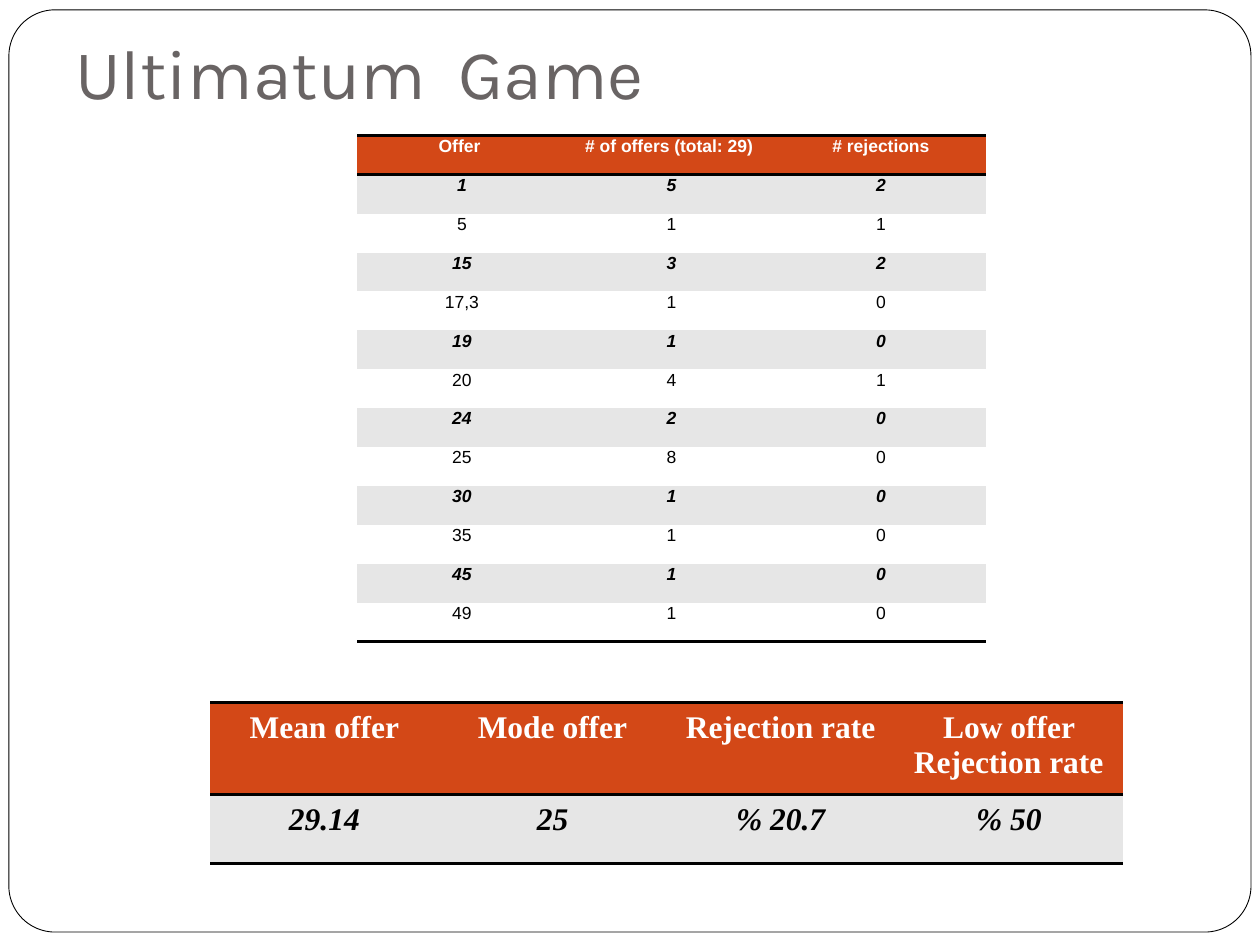
from lxml import etree
from pptx import Presentation
from pptx.dml.color import RGBColor
from pptx.enum.shapes import MSO_SHAPE
from pptx.enum.text import MSO_ANCHOR, PP_ALIGN
from pptx.oxml.ns import qn
from pptx.util import Cm, Pt

ROUND = MSO_SHAPE.ROUNDED_RECTANGLE
BOTTOM, TOP = MSO_ANCHOR.BOTTOM, MSO_ANCHOR.TOP
CENTER = PP_ALIGN.CENTER

COLORS = {
    "white": "FFFFFF",
    "black": "000000",
    "title": "696464",
    "head": "D34817",
    "band": "E6E6E6",
}

OFFERS = [
    ("Offer ", "# of offers (total: 29) ", "# rejections"),
    ("1", "5", "2"),
    ("5", "1", "1"),
    ("15", "3", "2"),
    ("17,3", "1", "0"),
    ("19", "1", "0"),
    ("20", "4", "1"),
    ("24", "2", "0"),
    ("25", "8", "0"),
    ("30", "1", "0"),
    ("35", "1", "0"),
    ("45", "1", "0"),
    ("49", "1", "0"),
]
RATES = [
    ("Mean offer", "Mode offer", "Rejection rate", "Low offer Rejection rate"),
    ("29.14", "25", "% 20.7", "% 50"),
]


def color(name):
    return RGBColor.from_string(COLORS[name])


def add_run(par, text, font, size, tint, bold=False, italic=False):
    run = par.add_run()
    run.text = text
    run.font.name = font
    run.font.size = Pt(size)
    run.font.color.rgb = color(tint)
    run.font.bold = bold
    run.font.italic = italic


def add_frame(slide):
    frame = slide.shapes.add_shape(ROUND, Cm(0.18), Cm(0.2), Cm(25.04), Cm(18.59))
    frame.adjustments[0] = 0.05
    frame.shadow.inherit = False
    frame.fill.solid()
    frame.fill.fore_color.rgb = color("white")
    frame.line.color.rgb = color("black")
    frame.line.width = Pt(0.5)


def add_title(slide, text):
    box = slide.shapes.add_textbox(Cm(1.27), Cm(0), Cm(22.86), Cm(2.54))
    frame = box.text_frame
    frame.word_wrap = True
    frame.vertical_anchor = BOTTOM
    frame.margin_bottom = Cm(0.25)
    add_run(frame.paragraphs[0], text, "Karla", 40, "title")


def set_lines(cell, ruled):
    """Rule the named sides in black and clear the others."""
    props = cell._tc.get_or_add_tcPr()
    for i, side in enumerate("LRTB"):
        line = etree.Element(qn("a:ln" + side))
        if side in ruled:
            line.set("w", str(Pt(2)))
            fill = etree.SubElement(line, qn("a:solidFill"))
            etree.SubElement(fill, qn("a:srgbClr"), val=COLORS["black"])
        else:
            etree.SubElement(line, qn("a:noFill"))
        props.insert(i, line)


def fill_cell(cell, text, row, last, font, size, pad):
    head, band = row == 0, row % 2 == 1
    cell.margin_left = cell.margin_right = Cm(pad)
    cell.margin_top = cell.margin_bottom = Cm(pad)
    cell.vertical_anchor = TOP
    cell.fill.solid()
    cell.fill.fore_color.rgb = color("head" if head else "band" if band else "white")
    # Rules above and below the head row, and below the last row
    set_lines(cell, ("T" if row < 2 else "") + ("B" if row in (0, last) else ""))
    par = cell.text_frame.paragraphs[0]
    par.alignment = CENTER
    add_run(par, text, font, size, "white" if head else "black", head or band, band)


def add_grid(slide, data, left, top, width, heights, font, size, pad):
    rows, cols = len(data), len(data[0])
    table = slide.shapes.add_table(
        rows, cols, Cm(left), Cm(top), Cm(width), Cm(sum(heights))
    ).table
    table.first_row = True
    table.horz_banding = False
    for r, (high, texts) in enumerate(zip(heights, data)):
        table.rows[r].height = Cm(high)
        for c, text in enumerate(texts):
            fill_cell(table.cell(r, c), text, r, rows - 1, font, size, pad)


def main():
    prs = Presentation()
    prs.slide_width, prs.slide_height = Cm(25.4), Cm(19.05)
    slide = prs.slides.add_slide(prs.slide_layouts[6])

    # Frame and title
    add_frame(slide)
    add_title(slide, "Ultimatum  Game")

    # Offers and rejections
    high = 10.2 / len(OFFERS)
    add_grid(slide, OFFERS, 7.2, 2.74, 12.67, [high] * len(OFFERS), "Arial", 10, 0.02)

    # Summary rates
    add_grid(slide, RATES, 4.24, 14.17, 18.4, [1.81, 1.39], "Times New Roman", 18, 0.16)

    prs.save("out.pptx")


if __name__ == "__main__":
    main()
